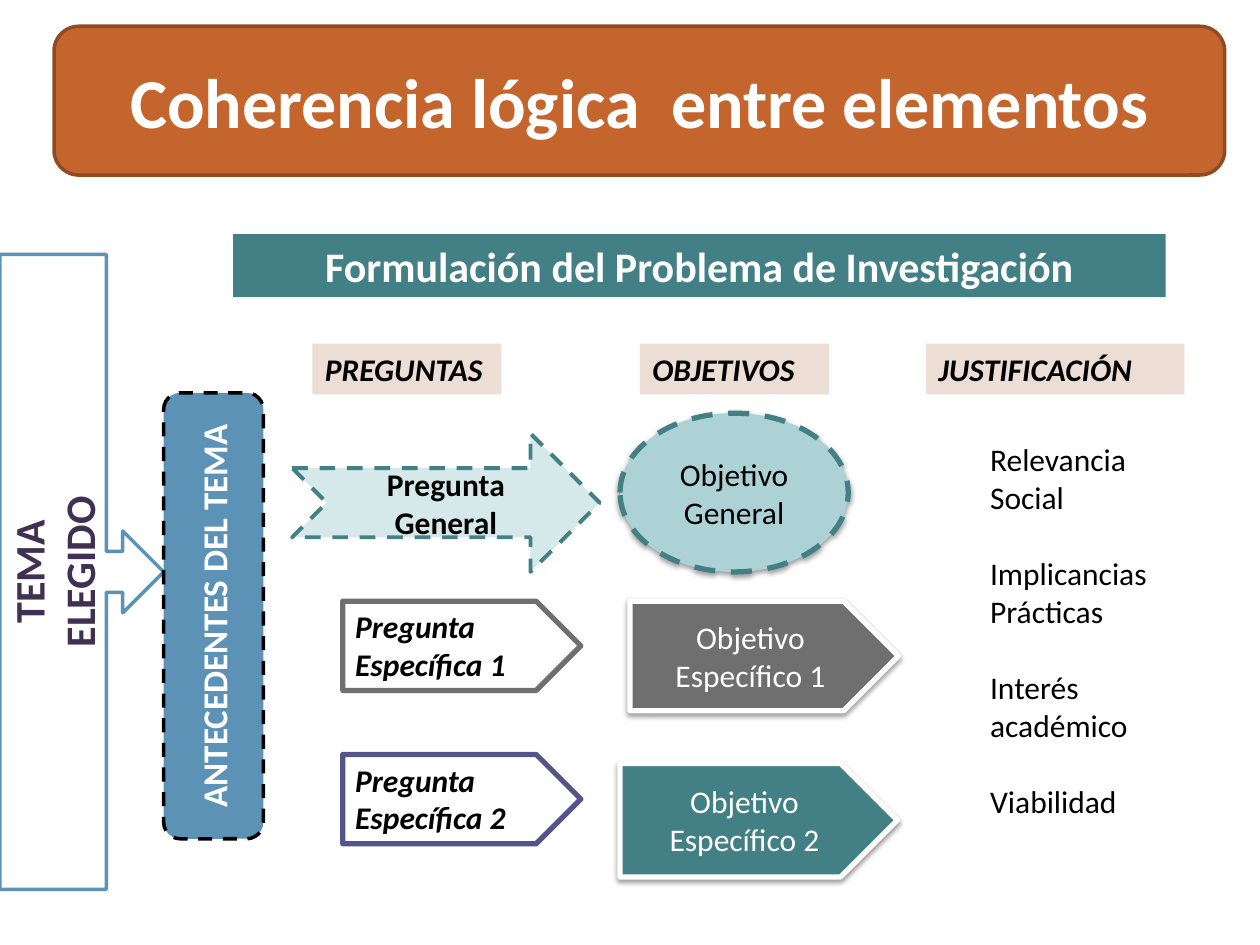
from lxml import etree
from pptx import Presentation
from pptx.dml.color import RGBColor
from pptx.enum.dml import MSO_LINE
from pptx.enum.shapes import MSO_SHAPE
from pptx.enum.text import MSO_ANCHOR, MSO_AUTO_SIZE, PP_ALIGN
from pptx.oxml.ns import qn
from pptx.util import Cm, Pt

RECT = MSO_SHAPE.RECTANGLE
ROUNDED = MSO_SHAPE.ROUNDED_RECTANGLE
ELLIPSE = MSO_SHAPE.OVAL
PENTAGON = MSO_SHAPE.PENTAGON
NOTCHED_ARROW = MSO_SHAPE.NOTCHED_RIGHT_ARROW
ARROW_CALLOUT = MSO_SHAPE.RIGHT_ARROW_CALLOUT
DASH = MSO_LINE.DASH
MIDDLE, TOP = MSO_ANCHOR.MIDDLE, MSO_ANCHOR.TOP
CENTER, LEFT = PP_ALIGN.CENTER, PP_ALIGN.LEFT
GROW = MSO_AUTO_SIZE.SHAPE_TO_FIT_TEXT

FONT = "Calibri"
BLACK, WHITE, PURPLE = "000000", "FFFFFF", "403152"
TEAL, GRAY, BLUE, INDIGO = "438086", "6F6F6F", "5C92B5", "53548A"
ORANGE, BROWN, SAND = "C4652D", "914B21", "ECDED4"
PALE_TEAL, LIGHT_TEAL = "D6E9EA", "ADD2D6"


def color(hex_value):
    return RGBColor.from_string(hex_value)


def write(frame, lines, size=18, ink=BLACK, bold=False, italic=False,
          align=CENTER, gap=0):
    frame.word_wrap = True
    for index, line in enumerate(lines):
        paragraph = frame.paragraphs[0] if index == 0 else frame.add_paragraph()
        paragraph.alignment = align
        if index and gap:
            paragraph.space_before = Pt(gap)
        run = paragraph.add_run()
        run.text = line
        run.font.name = FONT
        run.font.size = Pt(size)
        run.font.bold = bold
        run.font.italic = italic
        run.font.color.rgb = color(ink)


def add_block(slide, kind, place, lines, fill=None, outline=None, width=2,
              dash=None, grow=False, vertical=False, **style):
    block = slide.shapes.add_shape(kind, *map(Cm, place))
    block.shadow.inherit = False
    if fill:
        block.fill.solid()
        block.fill.fore_color.rgb = color(fill)
    else:
        block.fill.background()
    if outline:
        block.line.color.rgb = color(outline)
        block.line.width = Pt(width)
        block.line.dash_style = dash
    else:
        block.line.fill.background()
    frame = block.text_frame
    frame.vertical_anchor = TOP if grow else MIDDLE
    if grow:
        frame.auto_size = GROW
    if vertical:
        block.element.txBody.bodyPr.set("vert", "vert270")
    write(frame, lines, **style)
    return block


def add_shadow(block):
    effects = block.element.spPr.find(qn("a:effectLst"))
    shadow = etree.SubElement(
        effects, qn("a:outerShdw"), blurRad=str(Pt(3.1)), dist=str(Pt(1.6)),
        dir="5400000", rotWithShape="0")
    tint = etree.SubElement(shadow, qn("a:srgbClr"), val=BLACK)
    etree.SubElement(tint, qn("a:alpha"), val="38000")


def add_heading(slide, text, left, width):
    add_block(slide, RECT, (left, 6.93, width, 1.02), [text], SAND,
              grow=True, bold=True, italic=True, align=LEFT)


def add_specific_question(slide, number, top, outline):
    add_block(slide, PENTAGON, (6.91, top, 4.8, 1.8),
              [f"Pregunta Específica {number}"], outline=outline, width=3,
              grow=True, bold=True, italic=True, align=LEFT)


def add_specific_objective(slide, number, place, fill):
    add_shadow(add_block(slide, PENTAGON, place,
                         [f"Objetivo Específico {number}"], fill,
                         WHITE, 3, ink=WHITE))


def add_justification(slide, reasons):
    box = slide.shapes.add_textbox(Cm(19.71), Cm(8.74), Cm(4.39), Cm(7.95))
    box.text_frame.auto_size = GROW
    write(box.text_frame, reasons, align=LEFT, gap=22)


def main():
    deck = Presentation()
    deck.slide_width, deck.slide_height = Cm(25.4), Cm(19.05)
    slide = deck.slides.add_slide(deck.slide_layouts[6])

    add_block(slide, ROUNDED, (1.09, 0.53, 23.6, 3),
              ["Coherencia lógica  entre elementos"], ORANGE, BROWN,
              size=40, ink=WHITE, bold=True)
    add_block(slide, RECT, (4.7, 4.72, 18.8, 1.27),
              ["Formulación del Problema de Investigación"], TEAL,
              grow=True, size=24, ink=WHITE, bold=True)
    add_block(slide, ARROW_CALLOUT, (0, 5.13, 3.3, 12.8),
              ["TEMA", "ELEGIDO"], outline=BLUE, vertical=True,
              size=24, ink=PURPLE, bold=True)
    add_block(slide, ROUNDED, (3.3, 7.92, 2.01, 8.99),
              ["ANTECEDENTES DEL TEMA"], BLUE, BLACK, dash=DASH,
              vertical=True, size=20, ink=WHITE, bold=True)

    for text, left, width in (("PREGUNTAS", 6.3, 3.81),
                              ("OBJETIVOS", 12.9, 3.81),
                              ("JUSTIFICACIÓN", 18.67, 5.21)):
        add_heading(slide, text, left, width)

    add_block(slide, NOTCHED_ARROW, (5.89, 8.74, 6.2, 2.79),
              ["Pregunta General"], PALE_TEAL, TEAL, 2.25, DASH, bold=True)
    add_specific_question(slide, 1, 12.12, GRAY)
    add_specific_question(slide, 2, 15.21, INDIGO)

    add_shadow(add_block(slide, ELLIPSE, (12.5, 8.33, 4.6, 3.2),
                         ["Objetivo General"], LIGHT_TEAL, TEAL, 3, DASH))
    add_specific_objective(slide, 1, (12.7, 12.12, 5.41, 2.21), GRAY)
    add_specific_objective(slide, 2, (12.5, 15.39, 5.59, 2.29), TEAL)

    add_justification(slide, ["Relevancia Social", "Implicancias Prácticas",
                              "Interés académico", "Viabilidad"])
    deck.save("out.pptx")


if __name__ == "__main__":
    main()
